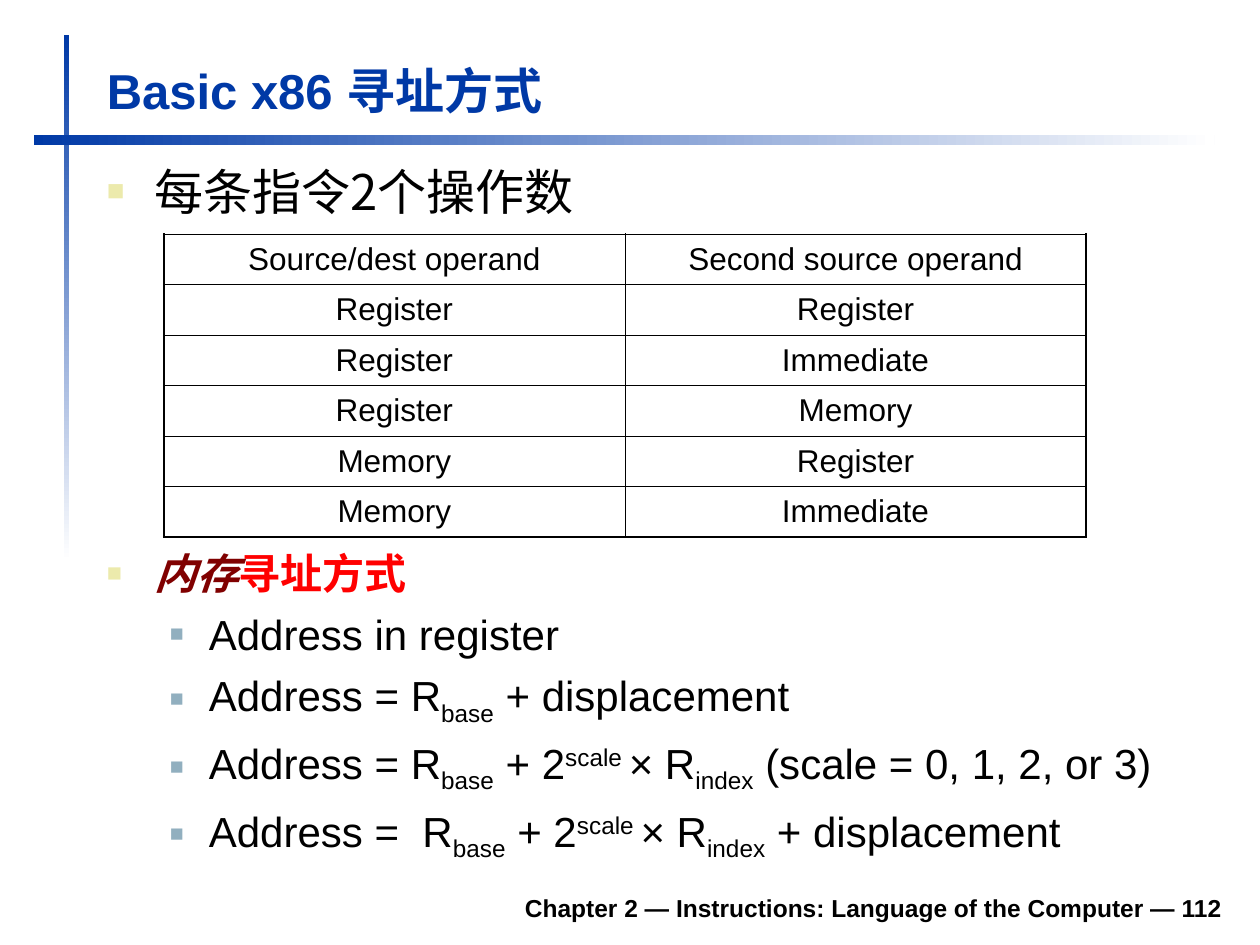
from lxml import etree
from pptx import Presentation
from pptx.dml.color import RGBColor
from pptx.enum.shapes import MSO_SHAPE
from pptx.enum.text import MSO_ANCHOR, PP_ALIGN
from pptx.oxml.ns import qn
from pptx.util import Inches, Pt

RECT = MSO_SHAPE.RECTANGLE
BOTTOM, MIDDLE = MSO_ANCHOR.BOTTOM, MSO_ANCHOR.MIDDLE
CENTER, RIGHT = PP_ALIGN.CENTER, PP_ALIGN.RIGHT
LATIN, HAN = "Arial", "Noto Sans CJK SC"
BLUE, BLACK, WHITE = "0039A6", "000000", "FFFFFF"
ink = RGBColor.from_string


def style(run, size, face=LATIN, color=BLACK, bold=False, slant=False):
    font = run.font
    font.size, font.name = Pt(size), face
    font.bold, font.italic = bold, slant
    font.color.rgb = ink(color)


def bullet(par, color, share, left, hang):
    props = par._p.get_or_add_pPr()
    props.set("marL", str(Inches(left)))
    props.set("indent", str(-Inches(hang)))
    tint = etree.SubElement(props, qn("a:buClr"))
    etree.SubElement(tint, qn("a:srgbClr"), val=color)
    etree.SubElement(props, qn("a:buSzPct"), val=str(share * 1000))
    etree.SubElement(props, qn("a:buFont"), typeface=LATIN)
    etree.SubElement(props, qn("a:buChar"), char="■")


deck = Presentation()
deck.slide_width, deck.slide_height = Inches(10), Inches(7.5)
col, row = deck.slide_width / 100, deck.slide_height / 100
slide = deck.slides.add_slide(deck.slide_layouts[6])
shapes = slide.shapes

for x, y, wide, high, angle in [
    (5.1, 3.75, 0.4, 55.6, 270),
    (2.7, 14.3, 93.7, 1.1, 0),
]:
    bar = shapes.add_shape(
        RECT, int(x * col), int(y * row), int(wide * col), int(high * row)
    )
    bar.shadow.inherit = False
    bar.line.fill.background()
    bar.fill.gradient()
    bar.fill.gradient_angle = angle
    for stop, color in zip(bar.fill.gradient_stops, (BLUE, WHITE)):
        stop.color.rgb = ink(color)

frames = []
for x, y, wide, high in [
    (18.5, 93.1, 79.5, 5.2),
    (7.5, 5.7, 90.3, 7.6),
    (7.5, 16.4, 90.4, 9.5),
    (7.5, 57.3, 90.4, 33.6),
]:
    box = shapes.add_textbox(
        int(x * col), int(y * row), int(wide * col), int(high * row)
    )
    box.text_frame.word_wrap = True
    frames.append(box.text_frame)
foot, title, lead, body = frames

foot.text = "Chapter 2 — Instructions: Language of the Computer — 112"
foot.vertical_anchor = BOTTOM
foot.paragraphs[0].alignment = RIGHT
style(foot.paragraphs[0].runs[0], 14, bold=True)

title.text = "Basic x86 寻址方式"
title.vertical_anchor = BOTTOM
style(title.paragraphs[0].runs[0], 28, color=BLUE, bold=True)

lead.text = "每条指令2个操作数"
bullet(lead.paragraphs[0], "ECEAAC", 60, 0.38, 0.38)
style(lead.paragraphs[0].runs[0], 28, HAN)

pairs = [
    ("Source/dest operand", "Second source operand"),
    ("Register", "Register"),
    ("Register", "Immediate"),
    ("Register", "Memory"),
    ("Memory", "Register"),
    ("Memory", "Immediate"),
]
last = len(pairs) - 1
table = shapes.add_table(
    len(pairs), 2, int(13 * col), int(24.8 * row), int(73.2 * col), int(32 * row)
).table
table.first_row = table.horz_banding = False
for r, pair in enumerate(pairs):
    for c, words in enumerate(pair):
        cell = table.cell(r, c)
        cell.text = words
        cell.vertical_anchor = MIDDLE
        par = cell.text_frame.paragraphs[0]
        par.alignment = CENTER
        style(par.runs[0], 18)
        props = cell._tc.get_or_add_tcPr()
        edges = {"L": c == 0, "R": c == 1, "T": r == 0, "B": r == last}
        for side, outer in edges.items():
            width = Pt(1.08 if outer else 0.45)
            line = etree.SubElement(props, qn("a:ln" + side), w=str(width))
            fill = etree.SubElement(line, qn("a:solidFill"))
            etree.SubElement(fill, qn("a:srgbClr"), val=BLACK)
        cell.fill.background()

head = body.paragraphs[0]
bullet(head, "ECEAAC", 60, 0.38, 0.38)
for words, color, slant in [("内存", "800000", True), ("寻址方式", "FF0000", False)]:
    run = head.add_run()
    run.text = words
    style(run, 24, HAN, color, True, slant)

base, index, scale = ("base", -25), ("index", -25), ("scale ", 30)
power = [base, (" + 2", 0), scale, ("× R", 0), index]
modes = [
    [("Address in register", 0)],
    [("Address = R", 0), base, (" + displacement", 0)],
    [("Address = R", 0), *power, (" (scale = 0, 1, 2, or 3)", 0)],
    [("Address =  R", 0), *power, (" + displacement", 0)],
]
for mode in modes:
    par = body.add_paragraph()
    par.level = 1
    par.space_before = Pt(6)
    bullet(par, "91AFBF", 55, 0.81, 0.31)
    for words, shift in mode:
        run = par.add_run()
        run.text = words
        style(run, 24)
        if shift:
            run.font._element.set("baseline", str(shift * 1000))

for latin in list(slide._element.iter(qn("a:latin"))):
    east = etree.Element(qn("a:ea"), typeface=HAN)
    latin.addnext(east)

deck.save("out.pptx")
